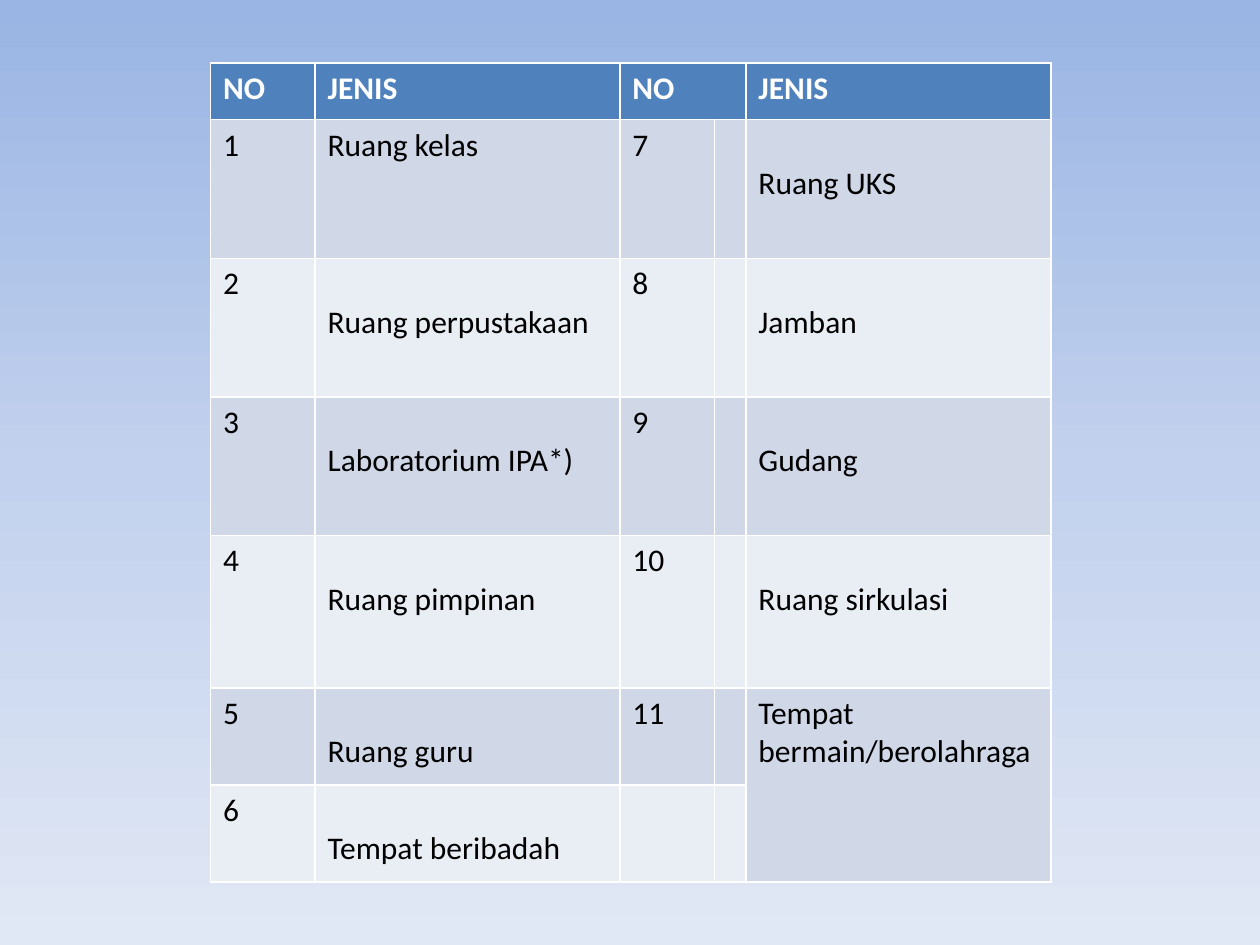
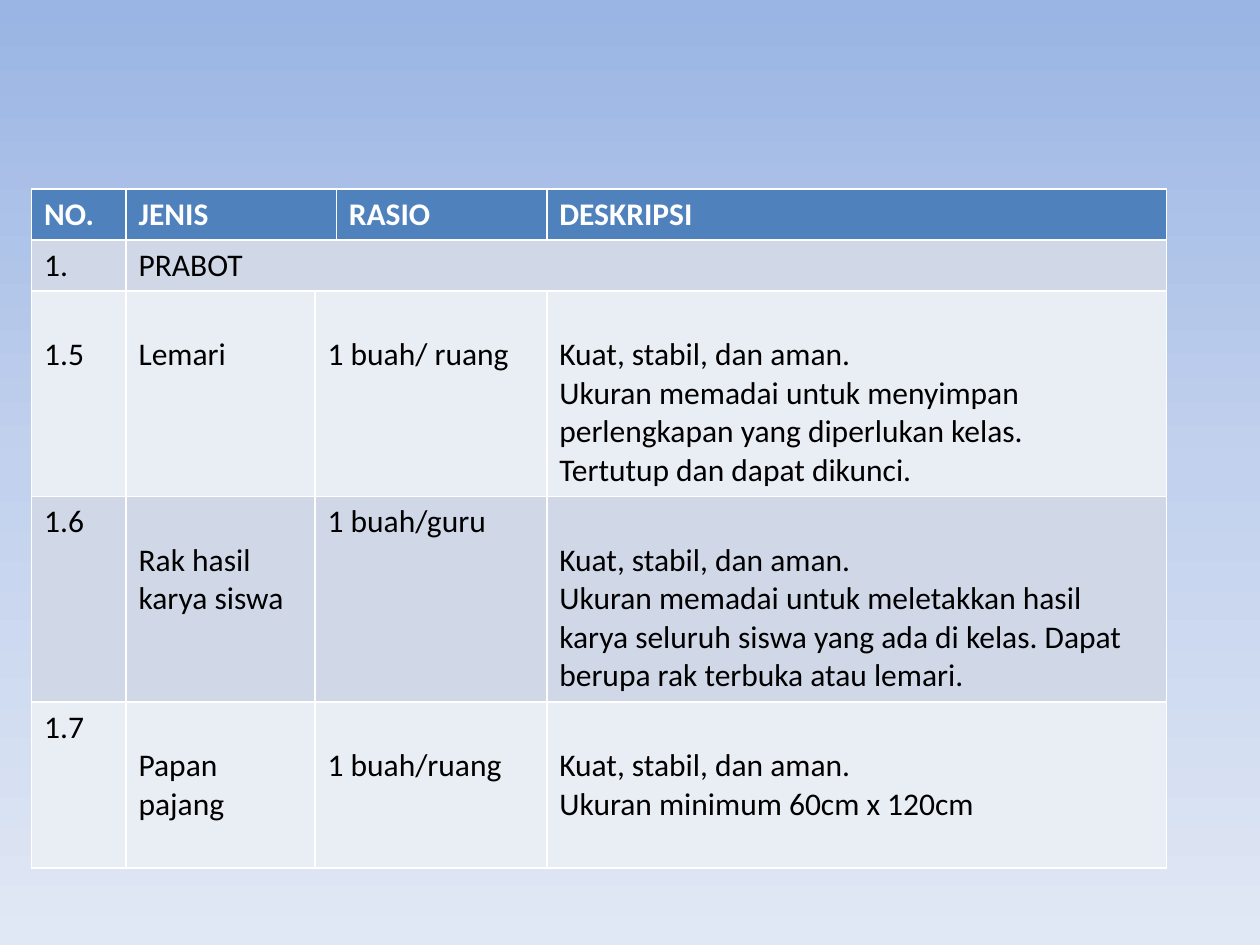
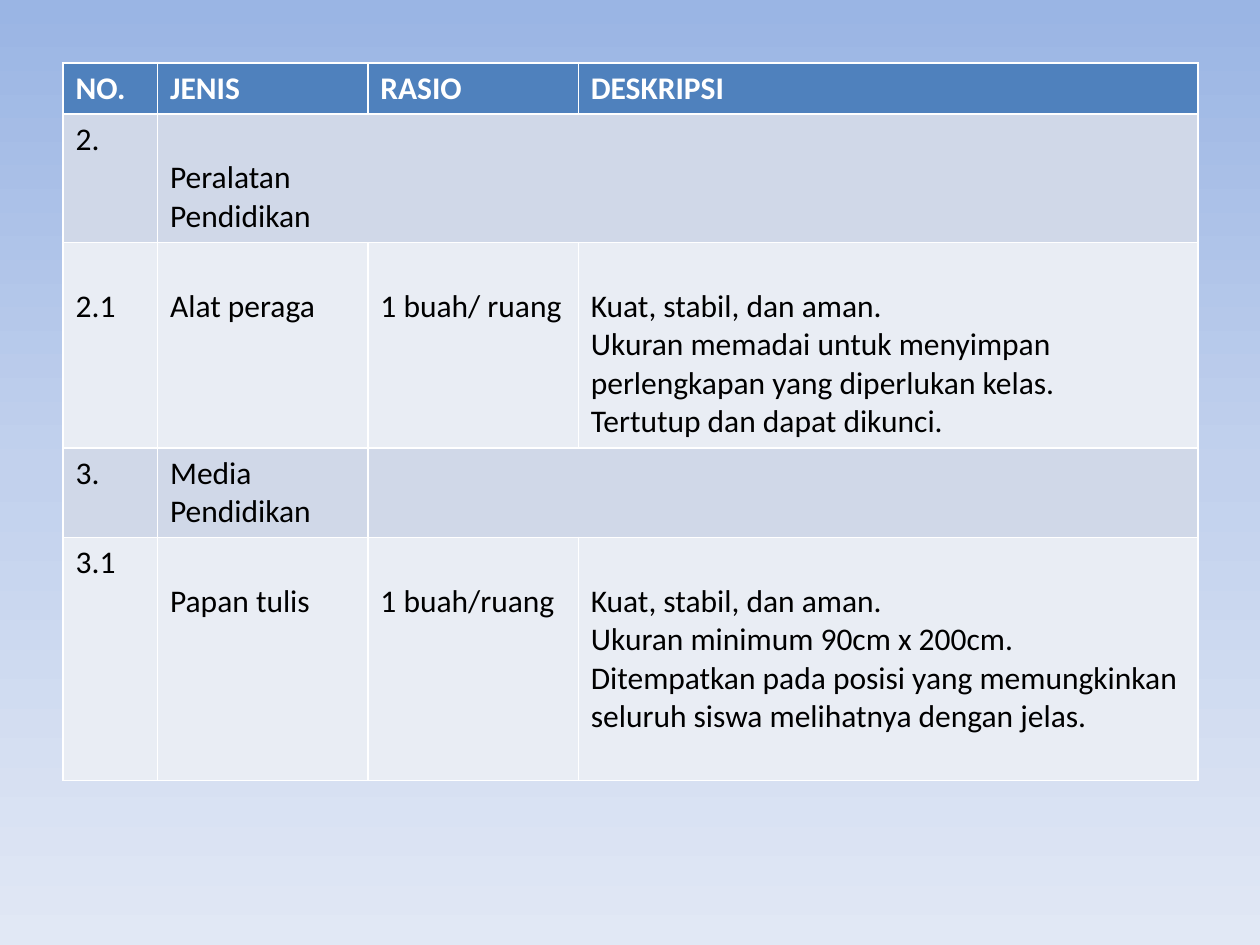
from collections import namedtuple

from lxml import etree
from pptx import Presentation
from pptx.dml.color import RGBColor
from pptx.oxml.ns import qn
from pptx.util import Inches, Pt

COLORS = {
    "header": "4F81BD",
    "band_dark": "D0D8E8",
    "band_light": "E9EDF4",
    "header_text": "FFFFFF",
    "body_text": "000000",
}
BACKGROUND_STOPS = {0: "9AB5E4", 50: "C2D1ED", 100: "E1E8F5"}
FONT = "Calibri"
FONT_SIZE = 18
LINE_HEIGHT = 0.305
CELL_MARGIN = 0.05
ROW = 0.4
TALL_ROW = 1.63

Cell = namedtuple("Cell", "paragraphs lines_down")


def top(*paragraphs):
    return Cell(paragraphs, 0)


def lowered(*paragraphs):
    """Text that starts one line below the top of its cell."""
    return Cell(paragraphs, 1)


EMPTY = top()
SAFE = "Kuat, stabil, dan aman."
CUPBOARD = lowered(
    SAFE,
    "Ukuran memadai untuk menyimpan perlengkapan yang diperlukan kelas.",
    "Tertutup dan dapat dikunci.",
)


def rgb(name):
    return RGBColor.from_string(COLORS[name])


def set_background(master):
    fill = master.background.fill
    fill.gradient()
    fill.gradient_angle = 270
    stop_list = master.element.find(".//" + qn("a:gsLst"))
    for stop in list(stop_list):
        stop_list.remove(stop)
    for percent, color in BACKGROUND_STOPS.items():
        stop = etree.SubElement(stop_list, qn("a:gs"), pos=str(percent * 1000))
        etree.SubElement(stop, qn("a:srgbClr"), val=color)


def fill_cell(table_cell, content, row_index):
    is_header = row_index == 0
    band = "band_dark" if row_index % 2 else "band_light"
    table_cell.fill.solid()
    table_cell.fill.fore_color.rgb = rgb("header" if is_header else band)
    table_cell.margin_top = Inches(CELL_MARGIN + content.lines_down * LINE_HEIGHT)
    frame = table_cell.text_frame
    for index, text in enumerate(content.paragraphs):
        paragraph = frame.add_paragraph() if index else frame.paragraphs[0]
        run = paragraph.add_run()
        run.text = text
        run.font.name = FONT
        run.font.size = Pt(FONT_SIZE)
        run.font.bold = is_header
        run.font.color.rgb = rgb("header_text" if is_header else "body_text")


def add_table_slide(presentation, left, top_edge, widths, heights, rows, merges=()):
    """Merges list first row, first column, last row, last column."""
    slide = presentation.slides.add_slide(presentation.slide_layouts[6])
    # The default table style supplies the white rules
    table = slide.shapes.add_table(
        len(heights), len(widths), Inches(left), Inches(top_edge),
        Inches(sum(widths)), Inches(sum(heights)),
    ).table
    for column, width in zip(table.columns, widths):
        column.width = Inches(width)
    for row, height in zip(table.rows, heights):
        row.height = Inches(height)
    for first_row, first_column, last_row, last_column in merges:
        table.cell(first_row, first_column).merge(table.cell(last_row, last_column))
    for row_index, row in enumerate(rows):
        for column_index, content in enumerate(row):
            fill_cell(table.cell(row_index, column_index), content, row_index)


def header(*titles):
    return [top(title) if title else EMPTY for title in titles]


def add_room_types(presentation):
    left_rooms = [
        top("Ruang kelas"), lowered("Ruang perpustakaan"),
        lowered("Laboratorium IPA*)"), lowered("Ruang pimpinan"),
        lowered("Ruang guru"), lowered("Tempat beribadah"),
    ]
    right_rooms = [
        lowered("Ruang UKS"), lowered("Jamban"), lowered("Gudang"),
        lowered("Ruang sirkulasi"), top("Tempat bermain/berolahraga"),
    ]
    rows = [header("NO", "JENIS", "NO", "", "JENIS")]
    for index, room in enumerate(left_rooms):
        row = [top(str(index + 1)), room, EMPTY, EMPTY, EMPTY]
        if index < len(right_rooms):
            number = index + 1 + len(left_rooms)
            row[2], row[4] = top(str(number)), right_rooms[index]
        rows.append(row)
    add_table_slide(
        presentation, 1.67, 0.5, [0.83, 2.42, 0.75, 0.25, 2.42],
        [0.45, 1.1, 1.1, 1.1, 1.21, 0.77, 0.77], rows,
        merges=[(0, 2, 0, 3), (5, 4, 6, 4)],
    )


def add_furniture(presentation):
    rows = [
        header("NO.", "JENIS", "", "RASIO", "DESKRIPSI"),
        [top("1."), top("PRABOT"), EMPTY, EMPTY, EMPTY],
        [lowered("1.5"), lowered("Lemari"), lowered("1 buah/ ruang"), EMPTY, CUPBOARD],
        [top("1.6"), lowered("Rak hasil karya siswa"), top("1 buah/guru"), EMPTY,
         lowered(SAFE, "Ukuran memadai untuk meletakkan hasil karya seluruh siswa "
                       "yang ada di kelas. Dapat berupa rak terbuka atau lemari.")],
        [top("1.7"), lowered("Papan pajang"), lowered("1 buah/ruang"), EMPTY,
         lowered(SAFE, "Ukuran minimum 60cm x 120cm")],
    ]
    add_table_slide(
        presentation, 0.25, 1.5, [0.75, 1.5, 0.17, 1.67, 4.92],
        [ROW, ROW, TALL_ROW, TALL_ROW, 1.32], rows,
        merges=[(0, 1, 0, 2), (1, 1, 1, 4)] + [(row, 2, row, 3) for row in (2, 3, 4)],
    )


def add_teaching_equipment(presentation):
    rows = [
        header("NO.", "JENIS", "RASIO", "DESKRIPSI"),
        [top("2."), lowered("Peralatan", "Pendidikan"), EMPTY, EMPTY],
        [lowered("2.1"), lowered("Alat peraga"), lowered("1 buah/ ruang"), CUPBOARD],
        [top("3."), top("Media Pendidikan"), EMPTY, EMPTY],
        [top("3.1"), lowered("Papan tulis"), lowered("1 buah/ruang"),
         lowered(SAFE, "Ukuran minimum 90cm x 200cm.",
                 "Ditempatkan pada posisi yang memungkinkan seluruh siswa "
                 "melihatnya dengan jelas.")],
    ]
    add_table_slide(
        presentation, 0.5, 0.5, [0.75, 1.67, 1.67, 4.92],
        [ROW, 1.02, TALL_ROW, 0.71, 1.93], rows,
        merges=[(1, 1, 1, 3), (3, 2, 3, 3)],
    )


def main():
    presentation = Presentation()
    presentation.slide_width = Inches(10)
    presentation.slide_height = Inches(7.5)
    set_background(presentation.slide_master)
    add_room_types(presentation)
    add_furniture(presentation)
    add_teaching_equipment(presentation)
    presentation.save("out.pptx")


if __name__ == "__main__":
    main()
